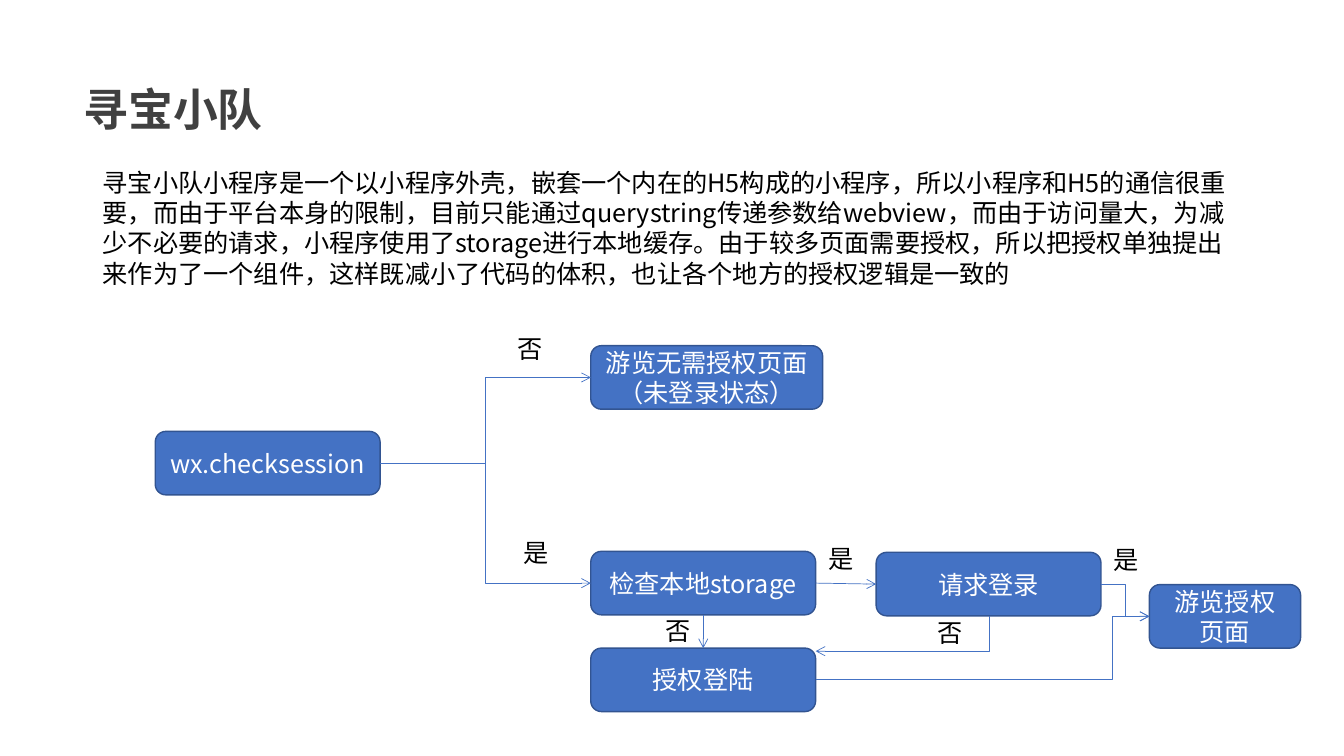
from dataclasses import dataclass

from pptx import Presentation
from pptx.dml.color import RGBColor
from pptx.enum.shapes import MSO_CONNECTOR as Link, MSO_SHAPE as Preset
from pptx.enum.text import MSO_ANCHOR as Anchor, MSO_AUTO_SIZE as AutoSize, PP_ALIGN as Align
from pptx.oxml.ns import qn
from pptx.util import Inches, Pt


@dataclass(frozen=True)
class Theme:
    font: str = "Noto Sans CJK SC"
    title_size: int = 32
    body_size: int = 18
    title: str = "404040"
    body: str = "000000"
    on_fill: str = "FFFFFF"
    fill: str = "4472C4"
    outline: str = "325491"
    outline_width: float = 1
    arrow_width: float = 0.5


THEME = Theme()
TOP, LEFT, BOTTOM, RIGHT = range(4)
STEP_HEIGHT = 0.63

INTRO = (
    "寻宝小队小程序是一个以小程序外壳，嵌套一个内在的H5构成的小程序，"
    "所以小程序和H5的通信很重要，而由于平台本身的限制，"
    "目前只能通过querystring传递参数给webview，而由于访问量大，"
    "为减少不必要的请求，小程序使用了storage进行本地缓存。"
    "由于较多页面需要授权，所以把授权单独提出来作为了一个组件，"
    "这样既减小了代码的体积，也让各个地方的授权逻辑是一致的"
)

# name: (text, left, top, width)
STEPS = {
    "session": ("wx.checksession", 1.54, 4.28, 2.23),
    "public": ("游览无需授权页面（未登录状态）", 5.86, 3.43, 2.3),
    "storage": ("检查本地storage", 5.86, 5.47, 2.23),
    "login": ("请求登录", 8.69, 5.48, 2.23),
    "authorize": ("授权登陆", 5.86, 6.43, 2.23),
    "private": ("游览授权页面", 11.4, 5.8, 1.5),
}

# start step, side, end step, side, kind, bend position
ARROWS = [
    ("session", RIGHT, "public", LEFT, Link.ELBOW, 0.5),
    ("session", RIGHT, "storage", LEFT, Link.ELBOW, 0.5),
    ("storage", RIGHT, "login", LEFT, Link.STRAIGHT, None),
    ("storage", BOTTOM, "authorize", TOP, Link.STRAIGHT, None),
    ("authorize", RIGHT, "private", LEFT, Link.ELBOW, 0.89),
    ("login", RIGHT, "private", LEFT, Link.ELBOW, 0.5),
]

# answer, left, top
ANSWERS = [
    ("否", 5.03, 3.26),
    ("否", 6.5, 6.06),
    ("否", 9.2, 6.08),
    ("是", 5.09, 5.28),
    ("是", 8.12, 5.34),
    ("是", 10.95, 5.35),
]


def apply_format(target, values):
    for name, value in values.items():
        setattr(target, name, value)


def write_text(box, text, size, color, bold=False, **para_format):
    para = box.text_frame.paragraphs[0]
    apply_format(para, para_format)
    span = para.add_run()
    span.text = text
    apply_format(span.font, {"name": THEME.font, "size": Pt(size), "bold": bold})
    span.font.color.rgb = RGBColor.from_string(color)
    east_asian = span.font._element.makeelement(qn("a:ea"), {"typeface": THEME.font})
    span.font._element.find(qn("a:latin")).addnext(east_asian)


def add_label(page, text, frame, size=THEME.body_size, color=THEME.body, **text_format):
    box = page.shapes.add_textbox(*map(Inches, frame))
    apply_format(box.text_frame, {"word_wrap": True, "auto_size": AutoSize.SHAPE_TO_FIT_TEXT})
    write_text(box, text, size, color, **text_format)


def add_step(page, text, left, top, width):
    frame = map(Inches, (left, top, width, STEP_HEIGHT))
    box = page.shapes.add_shape(Preset.ROUNDED_RECTANGLE, *frame)
    box.shadow.inherit = False
    box.fill.solid()
    box.fill.fore_color.rgb = RGBColor.from_string(THEME.fill)
    box.line.color.rgb = RGBColor.from_string(THEME.outline)
    box.line.width = Pt(THEME.outline_width)
    apply_format(box.text_frame, {"word_wrap": True, "vertical_anchor": Anchor.MIDDLE})
    write_text(box, text, THEME.body_size, THEME.on_fill, alignment=Align.CENTER)
    return box


def add_arrow(page, kind, frame=(0, 0, 0, 0)):
    arrow = page.shapes.add_connector(kind, *map(Inches, frame))
    arrow.line.color.rgb = RGBColor.from_string(THEME.fill)
    arrow.line.width = Pt(THEME.arrow_width)
    line = arrow.line._get_or_add_ln()
    line.append(line.makeelement(qn("a:tailEnd"), {"type": "arrow"}))
    properties = arrow._element.spPr
    properties.append(properties.makeelement(qn("a:effectLst"), {}))
    return arrow


def join_steps(page, start, start_side, end, end_side, kind, bend):
    arrow = add_arrow(page, kind)
    arrow.begin_connect(start, start_side)
    arrow.end_connect(end, end_side)
    if bend is not None:
        guides = arrow._element.spPr.find(qn("a:prstGeom")).get_or_add_avLst()
        formula = f"val {round(bend * 100000)}"
        guides.append(guides.makeelement(qn("a:gd"), {"name": "adj1", "fmla": formula}))


def add_corner_arrow(page, right, top, left, bottom):
    """Arrow that drops from (right, top), then runs left to (left, bottom)."""
    drop, run = bottom - top, right - left
    x, y = (left + right - drop) / 2, (top + bottom - run) / 2
    arrow = add_arrow(page, Link.ELBOW, (x, y, x + drop, y + run))
    properties = arrow._element.spPr
    properties.find(qn("a:prstGeom")).set("prst", "bentConnector2")
    properties.find(qn("a:xfrm")).set("rot", str(90 * 60000))


def main():
    deck = Presentation()
    apply_format(deck, {"slide_width": Inches(13.33), "slide_height": Inches(7.5)})
    page = deck.slides.add_slide(deck.slide_layouts[6])

    # Heading and introduction
    add_label(page, "寻宝小队", (0.73, 0.49, 9.79, 0.91), THEME.title_size, THEME.title,
              bold=True, line_spacing=1.5)
    add_label(page, INTRO, (0.92, 1.61, 11.44, 1.31))

    # Flow steps and the arrows between them
    steps = {name: add_step(page, *values) for name, values in STEPS.items()}
    for start, start_side, end, end_side, kind, bend in ARROWS:
        join_steps(page, steps[start], start_side, steps[end], end_side, kind, bend)
    add_corner_arrow(page, 9.81, 6.11, 8.09, 6.46)

    # Yes and no answers
    for answer, left, top in ANSWERS:
        add_label(page, answer, (left, top, 0.42, 0.4))

    deck.save("out.pptx")


if __name__ == "__main__":
    main()
